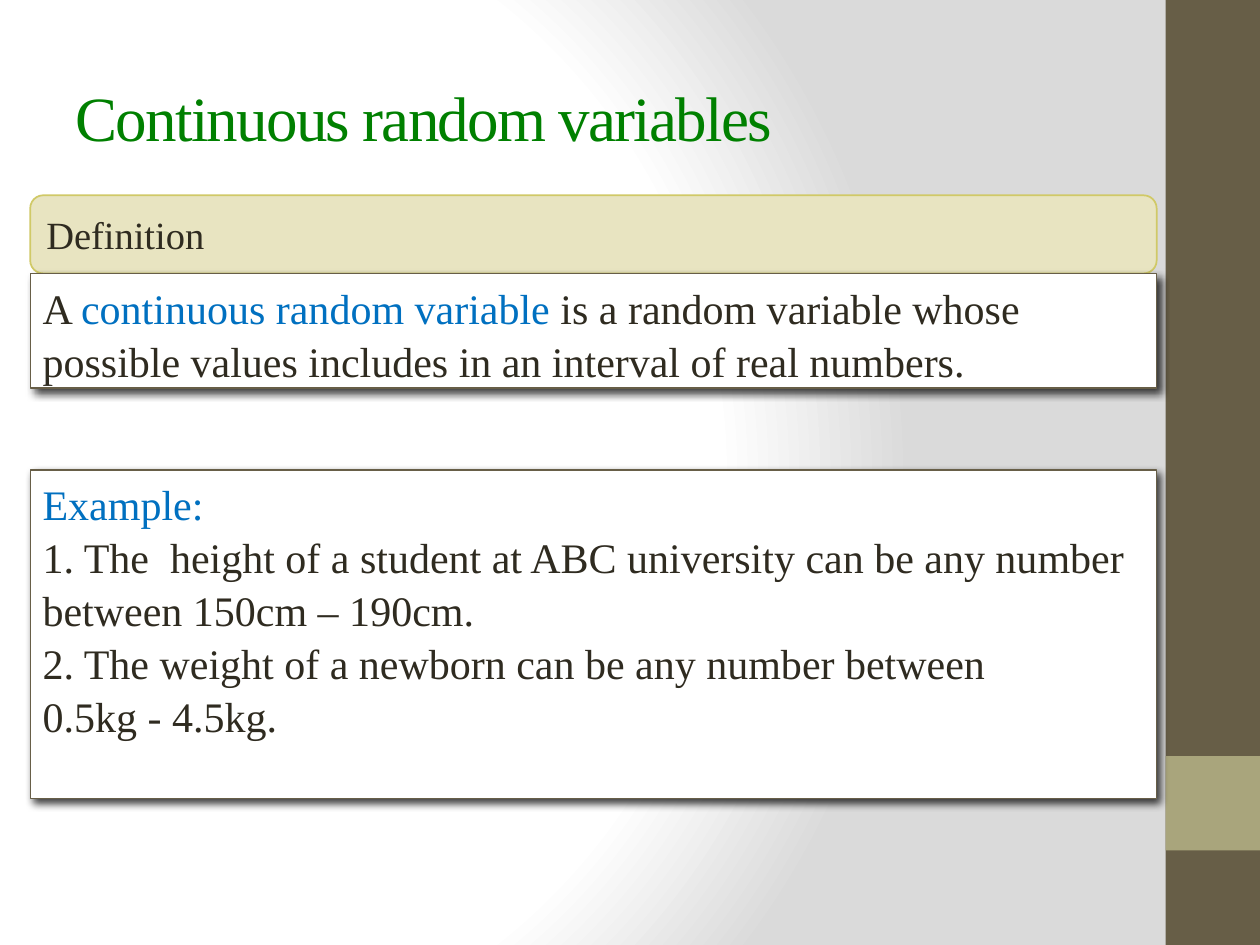
from dataclasses import dataclass
from typing import NamedTuple, Optional

from pptx import Presentation
from pptx.dml.color import RGBColor as Rgb
from pptx.enum.shapes import MSO_SHAPE as Shape
from pptx.enum.text import MSO_ANCHOR as Anchor, MSO_AUTO_SIZE as AutoSize, PP_ALIGN as Align
from pptx.oxml import parse_xml
from pptx.oxml.ns import nsdecls, qn
from pptx.util import Pt


@dataclass(frozen=True)
class Theme:
    font: str = "Times New Roman"
    title_size: float = 36
    label_size: float = 22
    body_size: float = 24
    line_spacing: float = 1.05
    title: str = "008000"
    ink: str = "2F2B20"
    accent: str = "0070C0"
    paper: str = "FFFFFF"
    shade: str = "DADADA"
    bar: str = "675E47"
    bar_accent: str = "A9A57C"
    label_fill: str = "E8E4C1"
    label_line: str = "D0C967"
    shadow: str = "000000"


THEME = Theme()


class Box(NamedTuple):
    left: float
    top: float
    width: float
    height: float


class Span(NamedTuple):
    text: str
    color: str = THEME.ink


@dataclass(frozen=True)
class Panel:
    box: Box
    fill: str
    line: Optional[str] = None
    line_width: float = 0.75
    shape: Shape = Shape.RECTANGLE
    shadow: bool = False
    anchor: Anchor = Anchor.TOP
    size: float = THEME.body_size
    spacing: float = THEME.line_spacing
    paras: tuple[tuple[Span, ...], ...] = ()


COLUMN_LEFT, COLUMN_WIDTH = 17.28, 643.68
BAR_LEFT, BAR_WIDTH = 666, 54

PANELS = (
    Panel(Box(BAR_LEFT, 0, BAR_WIDTH, 540), THEME.bar),
    Panel(Box(BAR_LEFT, 432, BAR_WIDTH, BAR_WIDTH), THEME.bar_accent),
    Panel(
        Box(COLUMN_LEFT, 111.6, COLUMN_WIDTH, 44.64),
        THEME.label_fill, THEME.label_line, 1, Shape.ROUNDED_RECTANGLE,
        anchor=Anchor.MIDDLE, size=THEME.label_size, spacing=1.0,
        paras=((Span("Definition"),),),
    ),
    Panel(
        Box(COLUMN_LEFT, 268.56, COLUMN_WIDTH, 187.92),
        THEME.paper, THEME.bar, shadow=True,
        paras=(
            (Span("Example:", THEME.accent),),
            (Span("1. The  height of a student at ABC university can be any number between 150cm – 190cm."),),
            (Span("2. The weight of a newborn can be any number between"),),
            (Span("0.5kg - 4.5kg."),),
        ),
    ),
    Panel(
        Box(COLUMN_LEFT, 156.24, COLUMN_WIDTH, 65.52),
        THEME.paper, THEME.bar, shadow=True,
        paras=((
            Span("A "),
            Span("continuous random variable ", THEME.accent),
            Span("is a random variable whose possible values includes in an interval of real numbers."),
        ),),
    ),
)


def style_font(font, size: float, color: str) -> None:
    font.name = THEME.font
    font.size = Pt(size)
    font.color.rgb = Rgb.from_string(color)


def paint_background(page) -> None:
    fill = page.background.fill
    fill.solid()
    solid = page._element.find(".//" + qn("p:bgPr")).find(qn("a:solidFill"))
    stops = "".join(
        f'<a:gs pos="{position * 1000}"><a:srgbClr val="{color}"/></a:gs>'
        for position, color in ((0, THEME.paper), (75, THEME.paper), (100, THEME.shade))
    )
    gradient = parse_xml(
        f'<a:gradFill {nsdecls("a")} rotWithShape="1"><a:gsLst>{stops}</a:gsLst>'
        '<a:path path="circle"><a:fillToRect l="20000" t="50000" r="100000" b="50000"/></a:path>'
        "</a:gradFill>"
    )
    solid.getparent().replace(solid, gradient)


def add_shadow(shape) -> None:
    effects = shape._element.spPr.find(qn("a:effectLst"))
    effects.append(parse_xml(
        f'<a:outerShdw {nsdecls("a")} blurRad="{Pt(5)}" dist="{Pt(3)}" dir="{45 * 60000}" '
        f'algn="tl" rotWithShape="0"><a:srgbClr val="{THEME.shadow}">'
        '<a:alpha val="75000"/></a:srgbClr></a:outerShdw>'
    ))


def write_paragraphs(frame, panel: Panel) -> None:
    frame.word_wrap = True
    frame.vertical_anchor = panel.anchor
    for index, spans in enumerate(panel.paras):
        para = frame.add_paragraph() if index else frame.paragraphs[0]
        para.alignment = Align.LEFT
        para.line_spacing = panel.spacing
        style_font(para.font, panel.size, spans[0].color)
        for span in spans:
            run = para.add_run()
            run.text = span.text
            run.font.color.rgb = Rgb.from_string(span.color)


def draw_panel(page, panel: Panel) -> None:
    shape = page.shapes.add_shape(panel.shape, *map(Pt, panel.box))
    shape.shadow.inherit = False
    shape.fill.solid()
    shape.fill.fore_color.rgb = Rgb.from_string(panel.fill)
    if panel.line:
        shape.line.color.rgb = Rgb.from_string(panel.line)
        shape.line.width = Pt(panel.line_width)
    else:
        shape.line.fill.background()
    if panel.shadow:
        add_shadow(shape)
    if panel.paras:
        write_paragraphs(shape.text_frame, panel)


def write_title(page, text: str, box: Box) -> None:
    title = page.shapes.title
    title.left, title.top, title.width, title.height = map(Pt, box)
    frame = title.text_frame
    frame.text = text
    frame.word_wrap = True
    frame.auto_size = AutoSize.NONE
    frame.vertical_anchor = Anchor.MIDDLE
    para = frame.paragraphs[0]
    para.alignment = Align.LEFT
    style_font(para.font, THEME.title_size, THEME.title)
    para.runs[0].font._element.set("spc", "-100")


def main() -> None:
    deck = Presentation()
    deck.slide_width, deck.slide_height = Pt(720), Pt(540)
    page = deck.slides.add_slide(deck.slide_layouts[5])
    paint_background(page)
    write_title(page, "Continuous random variables", Box(36, 21.6, 599.76, 90))
    for panel in PANELS:
        draw_panel(page, panel)
    deck.save("out.pptx")


if __name__ == "__main__":
    main()
